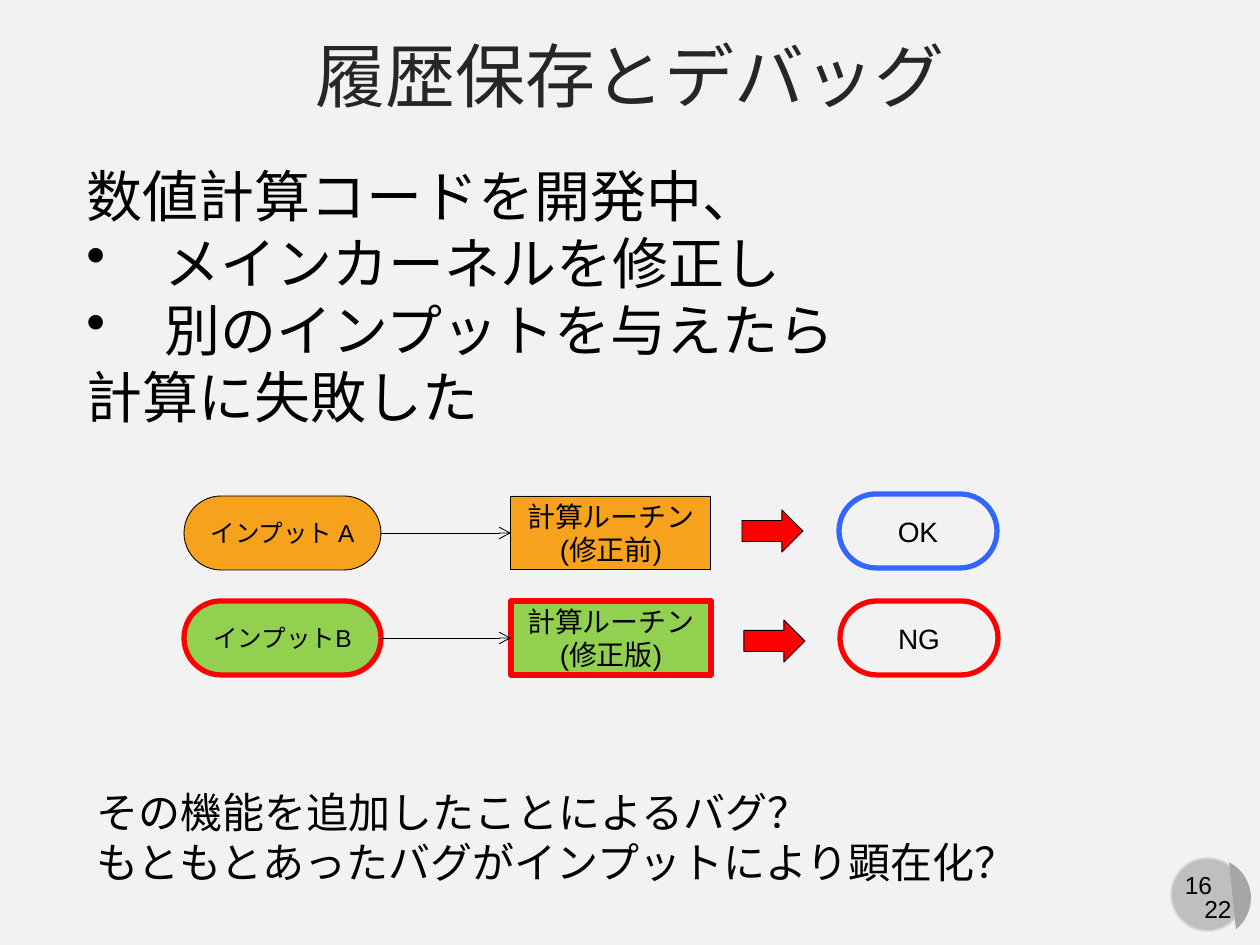
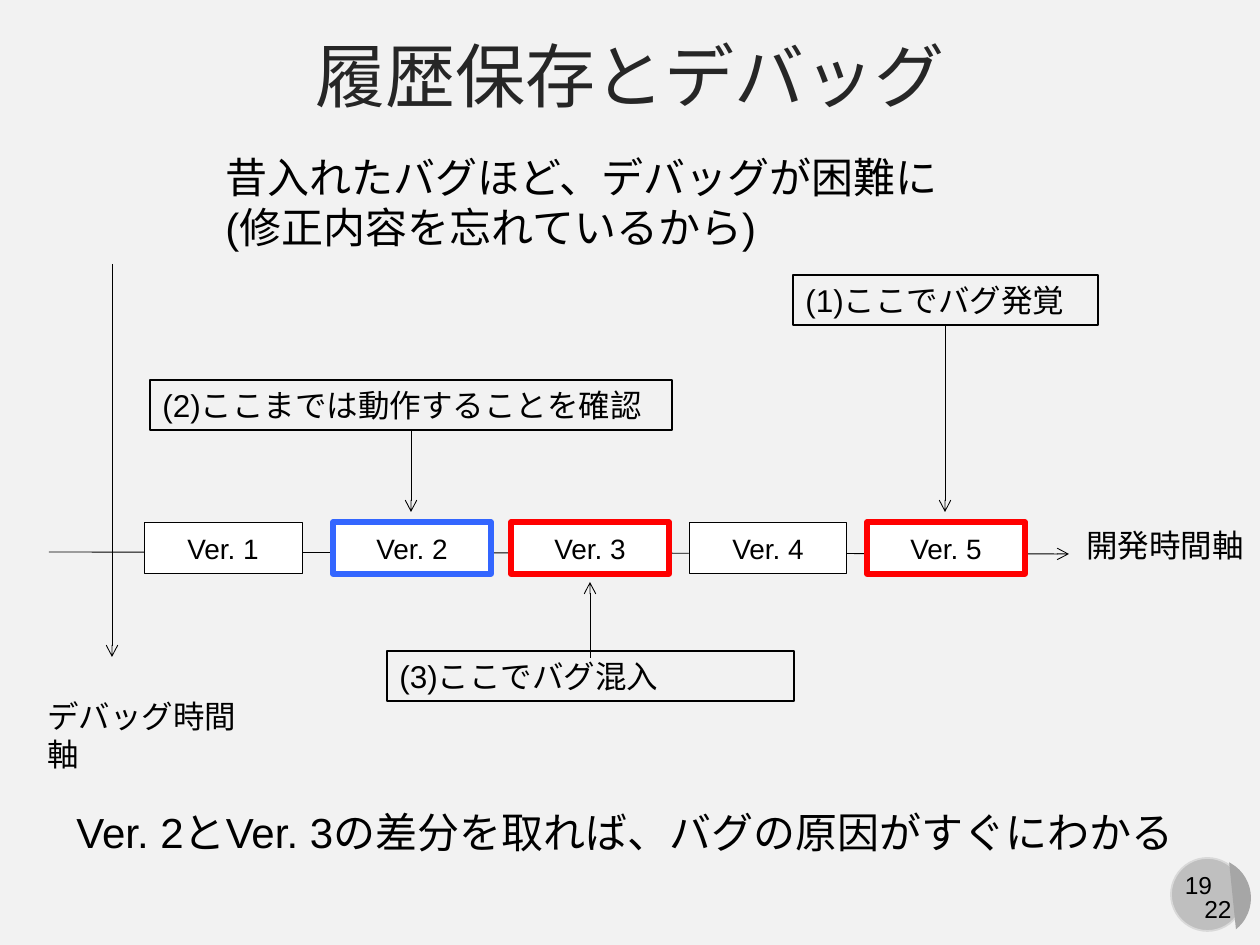
from lxml import etree
from pptx import Presentation
from pptx import util as u
from pptx.dml.color import RGBColor
from pptx.enum import shapes, text
from pptx.oxml import ns

PX_PER_INCH = 126
FONT = "Arial"
BLACK = RGBColor(0x00, 0x00, 0x00)
WHITE = RGBColor(0xFF, 0xFF, 0xFF)
RED = RGBColor(0xFF, 0x00, 0x00)
BLUE = RGBColor(0x33, 0x66, 0xFF)
ORANGE = RGBColor(0xF6, 0xA2, 0x1D)
GREEN = RGBColor(0x92, 0xD0, 0x50)
PAPER = RGBColor(0xF2, 0xF2, 0xF2)
TITLE_INK = RGBColor(0x26, 0x26, 0x26)
BADGE = RGBColor(0xBF, 0xBF, 0xBF)
BADGE_EDGE = RGBColor(0xD9, 0xD9, 0xD9)
BADGE_CHORD = RGBColor(0xA6, 0xA6, 0xA6)

TITLE = "履歴保存とデバッグ"
LAST_PAGE = 22
THIN, FRAME, THICK = 0.5, 0.75, 3
KIND = shapes.MSO_SHAPE
LEFT, CENTER = text.PP_ALIGN.LEFT, text.PP_ALIGN.CENTER
TOP, MIDDLE = text.MSO_ANCHOR.TOP, text.MSO_ANCHOR.MIDDLE


def px(*lengths):
    """Turn pixel lengths into a list of EMU lengths."""
    return [u.Emu(round(length * u.Inches(1) / PX_PER_INCH)) for length in lengths]


def write(frame, words, size, align=LEFT, anchor=TOP, color=BLACK):
    """Fill a text frame and format all its paragraphs alike."""
    frame.text = words
    frame.word_wrap = True
    frame.vertical_anchor = anchor
    for para in frame.paragraphs:
        para.alignment = align
        for span in para.runs:
            span.font.name = FONT
            span.font.size = u.Pt(size)
            span.font.color.rgb = color


def add_label(page, box, words, size, align=LEFT):
    """Add a text box and return its text frame."""
    frame = page.shapes.add_textbox(*px(*box)).text_frame
    write(frame, words, size, align)
    return frame


def add_figure(target, kind, box, fill=None, line=BLACK, width=THIN):
    """Add a flat preset shape to a slide or group."""
    figure = target.shapes.add_shape(kind, *px(*box))
    figure.shadow.inherit = False
    if fill is None:
        figure.fill.background()
    else:
        figure.fill.solid()
        figure.fill.fore_color.rgb = fill
    if line is None:
        figure.line.fill.background()
    else:
        figure.line.color.rgb = line
        figure.line.width = u.Pt(width)
    return figure


def add_node(page, kind, box, words, size, fill, line):
    """Add a shape with centred text; coloured outlines are thick."""
    width = THIN if line == BLACK else THICK
    node = add_figure(page, kind, box, fill, line, width)
    if kind == KIND.ROUNDED_RECTANGLE:
        node.adjustments[0] = 0.5
    write(node.text_frame, words, size, CENTER, MIDDLE)


def add_arrow(target, start, end):
    """Add a thin line with an open arrowhead at its end."""
    arrow = target.shapes.add_connector(
        shapes.MSO_CONNECTOR.STRAIGHT, *px(*start, *end))
    arrow.line.color.rgb = BLACK
    arrow.line.width = u.Pt(THIN)
    properties = arrow.element.spPr
    outline = properties.find(ns.qn("a:ln"))
    etree.SubElement(outline, ns.qn("a:tailEnd"), type="arrow")
    etree.SubElement(properties, ns.qn("a:effectLst"))


def add_bullet(para, indent):
    """Give a paragraph a round bullet with a hanging indent."""
    properties = para._p.get_or_add_pPr()
    [hang] = px(indent)
    properties.set("marL", str(hang))
    properties.set("indent", str(-hang))
    etree.SubElement(properties, ns.qn("a:buChar"), char="•")


def add_page_badge(page, left, top, number):
    """Draw the round badge with the page number and the page count."""
    add_figure(page, KIND.OVAL, (left, top, 73, 73), BADGE, BADGE_EDGE, 1)
    add_label(page, (left, top + 6, 55, 43), str(number), 14, CENTER)
    chord = add_figure(page, KIND.CHORD, (left, top, 80, 80), BADGE_CHORD, None)
    chord.adjustments[0] = 16.2
    chord.adjustments[1] = 84.85
    chord.rotation = 270
    add_label(page, (left + 13, top + 30, 68, 43), str(LAST_PAGE), 14, CENTER)


def add_page(deck, number):
    """Add a slide with the shared background, badge and title."""
    page = deck.slides.add_slide(deck.slide_layouts[5])
    page.background.fill.solid()
    page.background.fill.fore_color.rgb = PAPER
    add_page_badge(page, 1171, 858, number)
    title = page.shapes.title
    title.left, title.top, title.width, title.height = px(0, 26, 1260, 104)
    write(title.text_frame, TITLE, 40, CENTER, TOP, TITLE_INK)
    title.text_frame.auto_size = text.MSO_AUTO_SIZE.NONE
    return page


def add_run(page, left, top, source, routine, result, fill, line, result_line,
            arrow_at, result_at):
    """Draw one row: input, calculation routine, block arrow and result."""
    middle = top + 37
    add_node(page, KIND.RECTANGLE, (left + 327, top, 200, 74),
             routine, 16, fill, line)
    add_node(page, KIND.ROUNDED_RECTANGLE, (left, top, 197, 74),
             source, 14, fill, line)
    add_arrow(page, (left + 197, middle), (left + 327, middle))
    add_node(page, KIND.ROUNDED_RECTANGLE,
             (left + result_at[0], top + result_at[1], 158, 74),
             result, 16, None, result_line)
    add_figure(page, KIND.RIGHT_ARROW,
               (left + arrow_at[0], top + arrow_at[1], 61, 42), RED)


def build_failure_page(deck):
    """Show how a changed routine and a new input lead to a failure."""
    page = add_page(deck, 16)
    story = add_label(
        page, (74, 155, 973, 285),
        "数値計算コードを開発中、\nメインカーネルを修正し\n"
        "別のインプットを与えたら\n計算に失敗した", 32)
    for para in story.paragraphs[1:3]:
        add_bullet(para, 78)
    add_run(page, 184, 496, "インプット A", "計算ルーチン\n(修正前)", "OK",
            ORANGE, BLACK, BLUE, (558, 14), (655, -2))
    add_run(page, 184, 601, "インプットB", "計算ルーチン\n(修正版)", "NG",
            GREEN, RED, RED, (560, 19), (656, 0))
    add_label(page, (84, 780, 959, 115),
              "その機能を追加したことによるバグ？\n"
              "もともとあったバグがインプットにより顕在化？", 24)


def add_versions(page, left, top):
    """Draw the development axis with its five versions."""
    add_arrow(page, (left, top + 30), (left + 1020, top + 32))
    add_label(page, (left + 1025, top - 2, 186, 50), "開発時間軸", 18)
    offsets = [95, *range(284, 820, 178)]
    outlines = [BLACK, BLUE, RED, BLACK, RED]
    for number, (offset, line) in enumerate(zip(offsets, outlines), 1):
        add_node(page, KIND.RECTANGLE, (left + offset, top, 158, 52),
                 f"Ver. {number}", 16, WHITE, line)


def add_callout(page, left, top, width, words, start, end):
    """Group a framed remark with an upright arrow from its middle."""
    group = page.shapes.add_group_shape()
    frame = add_figure(group, KIND.RECTANGLE, (left, top, width, 50), width=FRAME)
    write(frame.text_frame, words, 18)
    middle = left + width // 2
    add_arrow(group, (middle, top + start), (middle, top + end))


def build_timeline_page(deck):
    """Show debugging steps against the development timeline."""
    page = add_page(deck, 19)
    add_label(page, (213, 145, 746, 115),
              "昔入れたバグほど、デバッグが困難に\n(修正内容を忘れているから)", 24)
    add_versions(page, 49, 522)
    add_callout(page, 793, 275, 305, "(1)ここでバグ発覚", 50, 237)
    add_callout(page, 387, 651, 407, "(3)ここでバグ混入", 7, -69)
    add_callout(page, 150, 380, 522, "(2)ここまでは動作することを確認", 50, 132)
    add_arrow(page, (112, 264), (112, 657))
    add_label(page, (35, 691, 237, 88), "デバッグ時間軸", 18)
    add_label(page, (64, 800, 1144, 115),
              "Ver. 2とVer. 3の差分を取れば、バグの原因がすぐにわかる", 24)


def main():
    """Build and save the two slides."""
    deck = Presentation()
    deck.slide_width, deck.slide_height = px(1260, 945)
    build_failure_page(deck)
    build_timeline_page(deck)
    deck.save("out.pptx")


if __name__ == "__main__":
    main()
